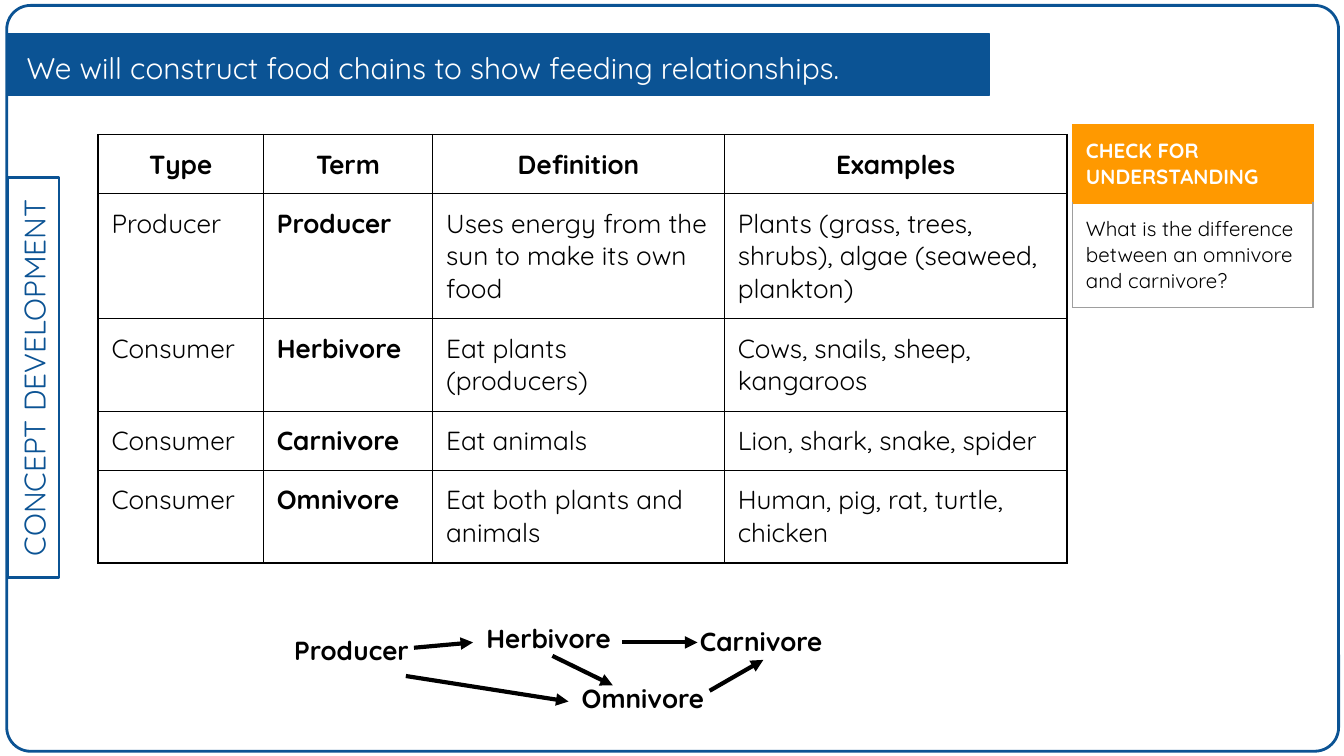
from lxml.etree import SubElement, Element
from pptx import Presentation
from pptx.dml.color import RGBColor
from pptx.enum.shapes import MSO_CONNECTOR as Connector, MSO_SHAPE as Shape
from pptx.enum.text import MSO_ANCHOR as Anchor, PP_ALIGN as Align
from pptx.oxml.ns import qn
from pptx.util import Inches, Pt

BLUE = RGBColor(0x0B, 0x53, 0x94)
ORANGE = RGBColor(0xFF, 0x99, 0x00)
GRAY = RGBColor(0x9E, 0x9E, 0x9E)
BLACK = RGBColor(0, 0, 0)
WHITE = RGBColor(0xFF, 0xFF, 0xFF)
FONT = "Quicksand"
MARGIN = Inches(0.1)

TERMS = [
    ("Type", "Term", "Definition", "Examples"),
    ("Producer", "Producer", "Uses energy from the sun to make its own food",
     "Plants (grass, trees, shrubs), algae (seaweed, plankton)"),
    ("Consumer", "Herbivore", "Eat plants (producers)", "Cows, snails, sheep, kangaroos"),
    ("Consumer", "Carnivore", "Eat animals", "Lion, shark, snake, spider"),
    ("Consumer", "Omnivore", "Eat both plants and animals", "Human, pig, rat, turtle, chicken"),
]
CHAIN_NAMES = [
    ("Producer", 0, 0.09),
    ("Herbivore", 1.43, 0),
    ("Carnivore", 3.02, 0.02),
    ("Omnivore", 2.14, 0.45),
]
CHAIN_ARROWS = [
    (0.99, 0.29, 1.43, 0.25),
    (0.93, 0.5, 2.14, 0.69),
    (2.54, 0.25, 3.1, 0.25),
    (3.19, 0.61, 3.59, 0.38),
    (2.02, 0.35, 2.47, 0.57),
]


def write(frame, text, size, color, bold=False, align=Align.LEFT):
    frame.text = text
    frame.word_wrap = True
    para = frame.paragraphs[0]
    para.alignment = align
    font = para.runs[0].font
    font.name, font.size, font.bold = FONT, Pt(size), bold
    font.color.rgb = color


def set_margins(target):
    target.margin_left = target.margin_right = MARGIN
    target.margin_top = target.margin_bottom = MARGIN


def add_text(page, box, text, size, color, bold=False):
    frame = page.shapes.add_textbox(*map(Inches, box)).text_frame
    set_margins(frame)
    write(frame, text, size, color, bold)
    return frame


def add_outline(page, kind, box, width, fill=None):
    shape = page.shapes.add_shape(kind, *map(Inches, box))
    shape.shadow.inherit = False
    shape.line.color.rgb = BLUE
    shape.line.width = Pt(width)
    if fill is None:
        shape.fill.background()
    else:
        shape.fill.solid()
        shape.fill.fore_color.rgb = fill
    return shape


def set_borders(cell, colors):
    properties = cell._tc.get_or_add_tcPr()
    for index, (side, color) in enumerate(zip("LRTB", colors)):
        line = Element(qn(f"a:ln{side}"), w=str(Pt(0.75)))
        fill = SubElement(line, qn("a:solidFill"))
        SubElement(fill, qn("a:srgbClr"), val=str(color))
        properties.insert(index, line)


def add_grid(page, box, widths, heights):
    frame = page.shapes.add_table(len(heights), len(widths), *map(Inches, box))
    table = frame.table
    table.first_row = table.horz_banding = False
    for column, width in zip(table.columns, widths):
        column.width = Inches(width)
    for row, height in zip(table.rows, heights):
        row.height = Inches(height)
    for cell in table.iter_cells():
        set_margins(cell)
        cell.fill.background()
    return table


def add_frame(page, box):
    shape = add_outline(page, Shape.ROUNDED_RECTANGLE, box, 1.5)
    shape.adjustments[0] = 0.032


def add_side_label(page, box):
    left, top, width, height = box
    shift = (height - width) / 2
    label = add_outline(page, Shape.RECTANGLE, (left - shift, top + shift, height, width), 1.5)
    label.rotation = 270
    frame = label.text_frame
    set_margins(frame)
    frame.vertical_anchor = Anchor.MIDDLE
    write(frame, "CONCEPT DEVELOPMENT", 16, BLUE, align=Align.CENTER)


def add_title(page, box):
    left, top, width, height = box
    add_outline(page, Shape.RECTANGLE, box, 0.75, BLUE)
    frame = add_text(page, (left + 0.05, top + 0.04, width - 0.1, height - 0.08),
                     "We will construct food chains to show feeding relationships.", 16, WHITE)
    frame.vertical_anchor = Anchor.MIDDLE
    frame.paragraphs[0].line_spacing = 1.15


def add_check_card(page, box):
    table = add_grid(page, box, [box[2]], [0.58, box[3] - 0.58])
    heading, question = table.cell(0, 0), table.cell(1, 0)
    write(heading.text_frame, "CHECK FOR UNDERSTANDING", 11, WHITE, bold=True)
    heading.fill.solid()
    heading.fill.fore_color.rgb = ORANGE
    set_borders(heading, [ORANGE] * 4)
    write(question.text_frame, "What is the difference between an omnivore and carnivore?", 11, BLACK)
    set_borders(question, [GRAY, GRAY, ORANGE, GRAY])


def add_terms_table(page, box):
    table = add_grid(page, box, [1.23, 1.26, 2.17, 2.55], [0.44, 0.93, 0.69, 0.44, 0.69])
    for row, texts in enumerate(TERMS):
        for column, text in enumerate(texts):
            cell = table.cell(row, column)
            align = Align.CENTER if row == 0 else Align.LEFT
            write(cell.text_frame, text, 14, BLACK, row == 0 or column == 1, align)
            set_borders(cell, [BLACK] * 4)


def add_food_chain(page, box):
    left, top = box[:2]
    for name, x, y in CHAIN_NAMES:
        add_text(page, (left + x, top + y, 1.26, 0.49), name, 14, BLACK, bold=True)
    for x1, y1, x2, y2 in CHAIN_ARROWS:
        ends = map(Inches, (left + x1, top + y1, left + x2, top + y2))
        arrow = page.shapes.add_connector(Connector.STRAIGHT, *ends)
        arrow.line.color.rgb = BLACK
        arrow.line.width = Pt(2.25)
        SubElement(arrow.line._get_or_add_ln(), qn("a:tailEnd"), type="triangle")
        SubElement(arrow._element.spPr, qn("a:effectLst"))


def main():
    deck = Presentation()
    deck.slide_width = Inches(10)
    deck.slide_height = deck.slide_width * 9 // 16
    page = deck.slides.add_slide(deck.slide_layouts[6])
    add_frame(page, (0.05, 0.04, 9.91, 5.55))
    add_side_label(page, (0.06, 1.32, 0.38, 2.98))
    add_title(page, (0.05, 0.25, 7.31, 0.46))
    add_check_card(page, (7.98, 0.93, 1.79, 1.36))
    add_food_chain(page, (2.09, 4.53, 4.28, 0.94))
    add_terms_table(page, (0.73, 1, 7.21, 3.19))
    deck.save("out.pptx")


if __name__ == "__main__":
    main()
